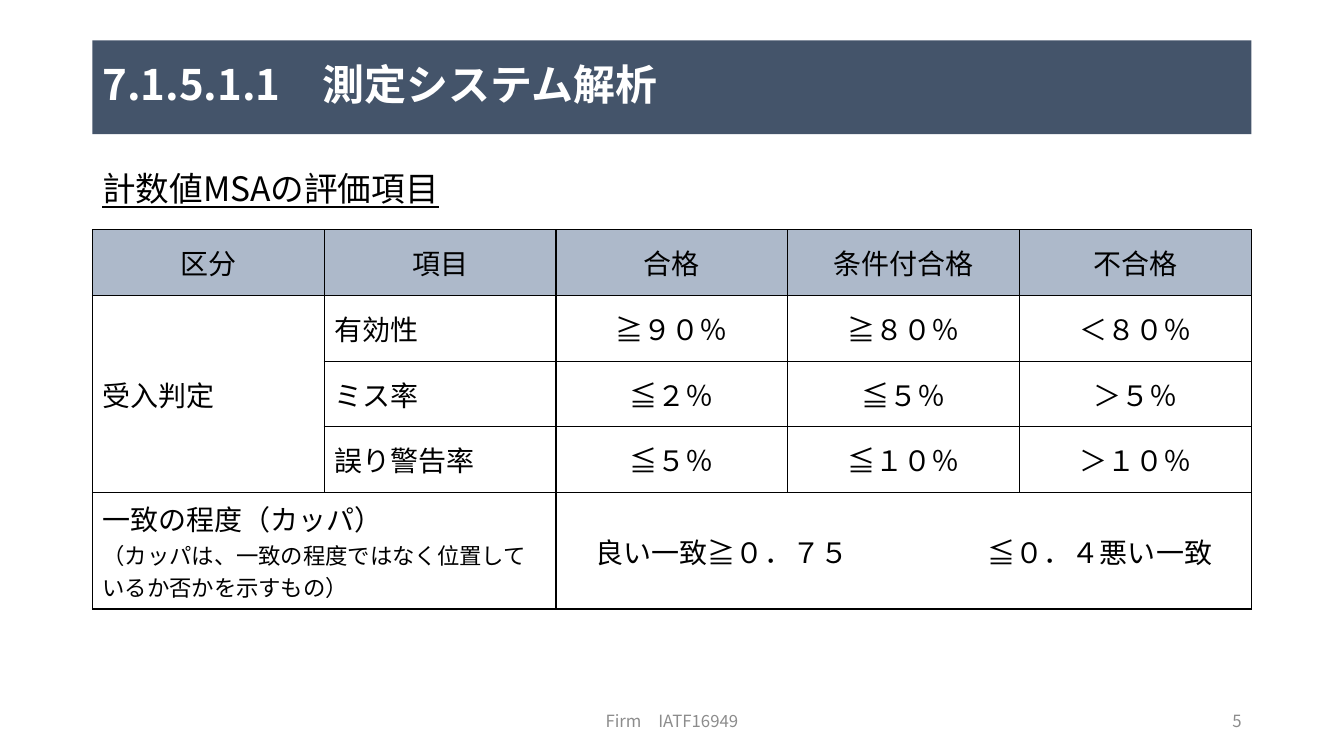
"""Build the slide on acceptance criteria for attribute measurement system analysis."""
from dataclasses import dataclass

from lxml import etree
from pptx import Presentation
from pptx.dml.color import RGBColor
from pptx.enum.shapes import MSO_SHAPE
from pptx.enum.text import MSO_ANCHOR, PP_ALIGN
from pptx.oxml.ns import qn
from pptx.util import Pt

LEFT, CENTER, RIGHT = PP_ALIGN.LEFT, PP_ALIGN.CENTER, PP_ALIGN.RIGHT
TOP, MIDDLE = MSO_ANCHOR.TOP, MSO_ANCHOR.MIDDLE
RECTANGLE = MSO_SHAPE.RECTANGLE

FONT = "Noto Sans CJK JP"
BLACK = RGBColor(0x00, 0x00, 0x00)
WHITE = RGBColor(0xFF, 0xFF, 0xFF)
GRAY = RGBColor(0x8C, 0x8C, 0x8C)
NAVY = RGBColor(0x44, 0x54, 0x6A)
PALE_BLUE = RGBColor(0xAD, 0xB9, 0xCA)

MARGIN, CONTENT_WIDTH = 66, 828
FOOTER_TOP, FOOTER_HEIGHT = 500.4, 28.8
TABLE_TOP, ROW_HEIGHT, KAPPA_HEIGHT = 164.2, 46.9, 83.3
KAPPA_INDENT, KAPPA_TAB = 28.4, 280

CRITERIA = [
    ["区分", "項目", "合格", "条件付合格", "不合格"],
    ["受入判定", "有効性", "≧９０％", "≧８０％", "＜８０％"],
    ["", "ミス率", "≦２％", "≦５％", "＞５％"],
    ["", "誤り警告率", "≦５％", "≦１０％", "＞１０％"],
    ["一致の程度（カッパ）\n（カッパは、一致の程度ではなく位置しているか否かを示すもの）", "",
     "良い一致≧０．７５\t≦０．４悪い一致", "", ""],
]


@dataclass
class Style:
    size: float
    color: RGBColor = BLACK
    align: PP_ALIGN = LEFT
    anchor: MSO_ANCHOR = MIDDLE
    bold: bool = False
    underline: bool = False
    spacing: float = 1.0


@dataclass
class Label:
    text: str
    left: float
    top: float
    width: float
    height: float
    style: Style


LABELS = [
    Label("Firm　IATF16949", 318, FOOTER_TOP, 324, FOOTER_HEIGHT, Style(12, GRAY, CENTER)),
    Label("5", 678, FOOTER_TOP, 216, FOOTER_HEIGHT, Style(12, GRAY, RIGHT)),
    Label("計数値MSAの評価項目", MARGIN, 120, CONTENT_WIDTH, 380,
          Style(24, anchor=TOP, underline=True, spacing=0.9)),
]
TITLE = Label("7.1.5.1.1　測定システム解析", MARGIN, 28.8, CONTENT_WIDTH, 67,
              Style(30, WHITE, bold=True, spacing=0.9))


def format_paragraph(paragraph, style: Style) -> None:
    """Apply a style to a paragraph and its runs."""
    paragraph.alignment = style.align
    paragraph.line_spacing = style.spacing
    for span in paragraph.runs:
        span.font.size = Pt(style.size)
        span.font.bold = style.bold
        span.font.underline = style.underline
        span.font.color.rgb = style.color
        span.font.name = FONT
        etree.SubElement(span.font._element, qn("a:ea"), typeface=FONT)


def fill_text(box, label: Label) -> None:
    """Write a label into a shape."""
    frame = box.text_frame
    frame.word_wrap = True
    frame.vertical_anchor = label.style.anchor
    frame.text = label.text
    for paragraph in frame.paragraphs:
        format_paragraph(paragraph, label.style)


def frame_of(label: Label) -> list[Pt]:
    """Return the position and size of a label."""
    return [Pt(value) for value in (label.left, label.top, label.width, label.height)]


def add_title(page, label: Label) -> None:
    """Draw the title bar."""
    bar = page.shapes.add_shape(RECTANGLE, *frame_of(label))
    bar.shadow.inherit = False
    bar.fill.solid()
    bar.fill.fore_color.rgb = NAVY
    bar.line.fill.background()
    fill_text(bar, label)


def add_borders(cell) -> None:
    """Draw a thin black line on each side of a cell."""
    properties = cell._tc.get_or_add_tcPr()
    for side in ("a:lnL", "a:lnR", "a:lnT", "a:lnB"):
        line = etree.SubElement(properties, qn(side), w=str(Pt(1)))
        fill = etree.SubElement(line, qn("a:solidFill"))
        etree.SubElement(fill, qn("a:srgbClr"), val=str(BLACK))


def add_criteria_table(page) -> None:
    """Draw the table of acceptance criteria."""
    heights = [ROW_HEIGHT] * (len(CRITERIA) - 1) + [KAPPA_HEIGHT]
    table = page.shapes.add_table(
        len(CRITERIA), len(CRITERIA[0]), Pt(MARGIN), Pt(TABLE_TOP),
        Pt(CONTENT_WIDTH), Pt(sum(heights))).table
    for row, height in zip(table.rows, heights):
        row.height = Pt(height)
    for row_index, texts in enumerate(CRITERIA):
        for column, text in enumerate(texts):
            cell = table.cell(row_index, column)
            add_borders(cell)
            if row_index == 0:
                cell.fill.solid()
                cell.fill.fore_color.rgb = PALE_BLUE
            else:
                cell.fill.background()
            cell.vertical_anchor = MIDDLE
            cell.text_frame.text = text
            centered = row_index == 0 or column > 1
            for index, paragraph in enumerate(cell.text_frame.paragraphs):
                format_paragraph(paragraph, Style(16 if index else 20,
                                                  align=CENTER if centered else LEFT))
    last = len(CRITERIA) - 1
    table.cell(1, 0).merge(table.cell(last - 1, 0))
    table.cell(last, 0).merge(table.cell(last, 1))
    kappa = table.cell(last, 2)
    kappa.merge(table.cell(last, 4))
    kappa.margin_left = Pt(KAPPA_INDENT)
    paragraph = kappa.text_frame.paragraphs[0]
    paragraph.alignment = LEFT
    tabs = etree.SubElement(paragraph._p.get_or_add_pPr(), qn("a:tabLst"))
    etree.SubElement(tabs, qn("a:tab"), pos=str(Pt(KAPPA_TAB)), algn="l")


def main() -> None:
    """Create and save the deck."""
    deck = Presentation()
    deck.slide_width, deck.slide_height = Pt(960), Pt(540)
    page = deck.slides.add_slide(deck.slide_layouts[6])
    for label in LABELS:
        fill_text(page.shapes.add_textbox(*frame_of(label)), label)
    add_title(page, TITLE)
    add_criteria_table(page)
    deck.save("out.pptx")


if __name__ == "__main__":
    main()
